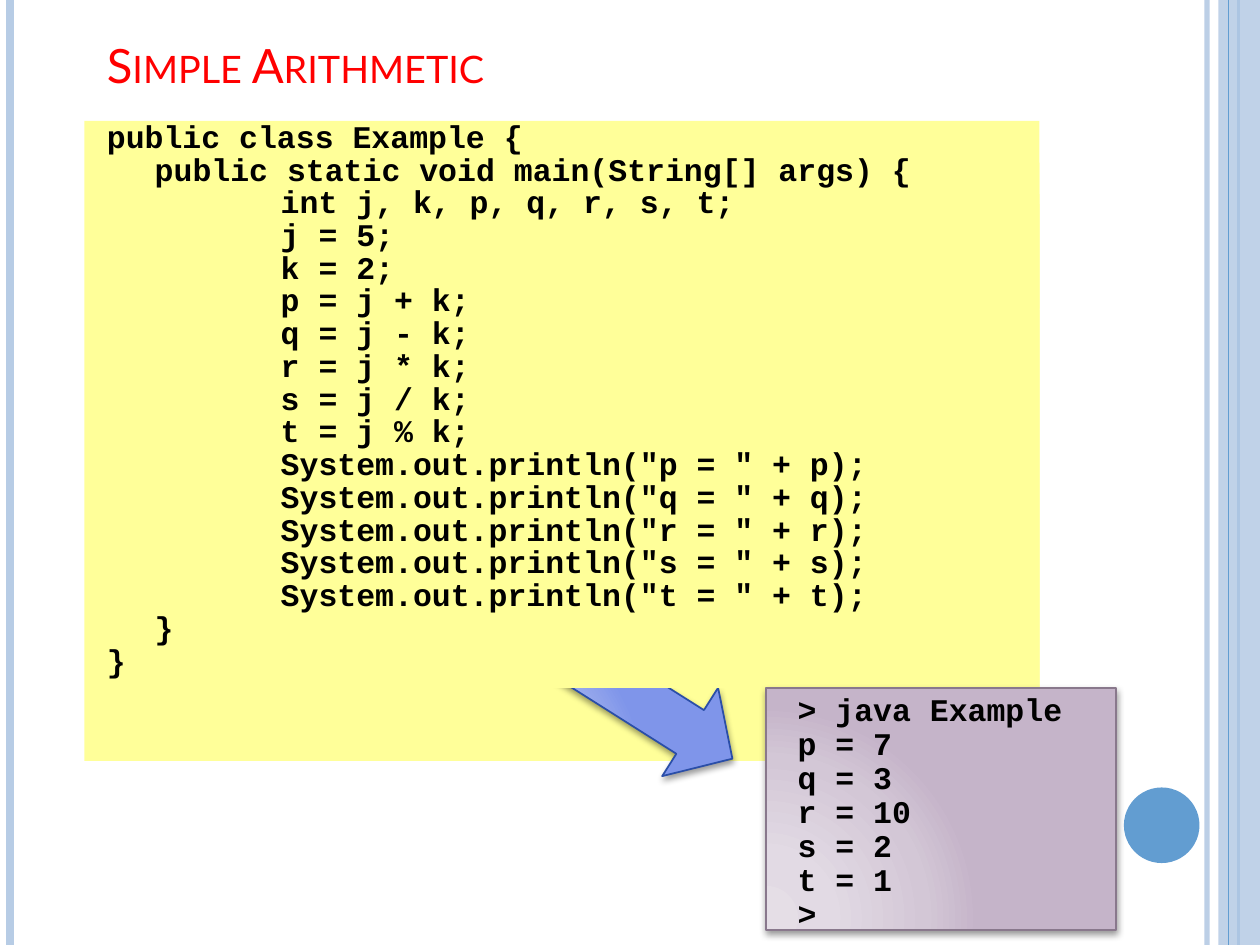
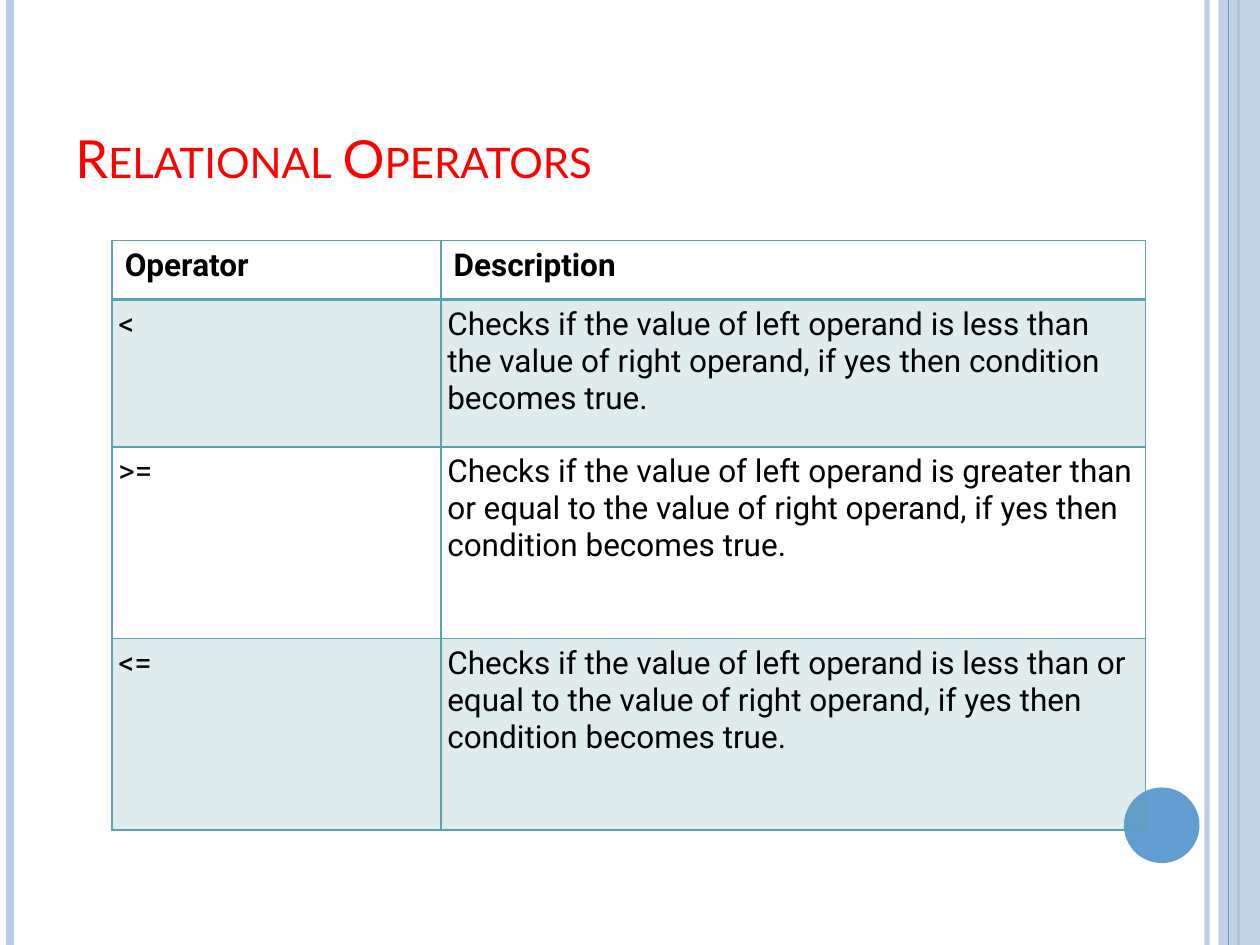
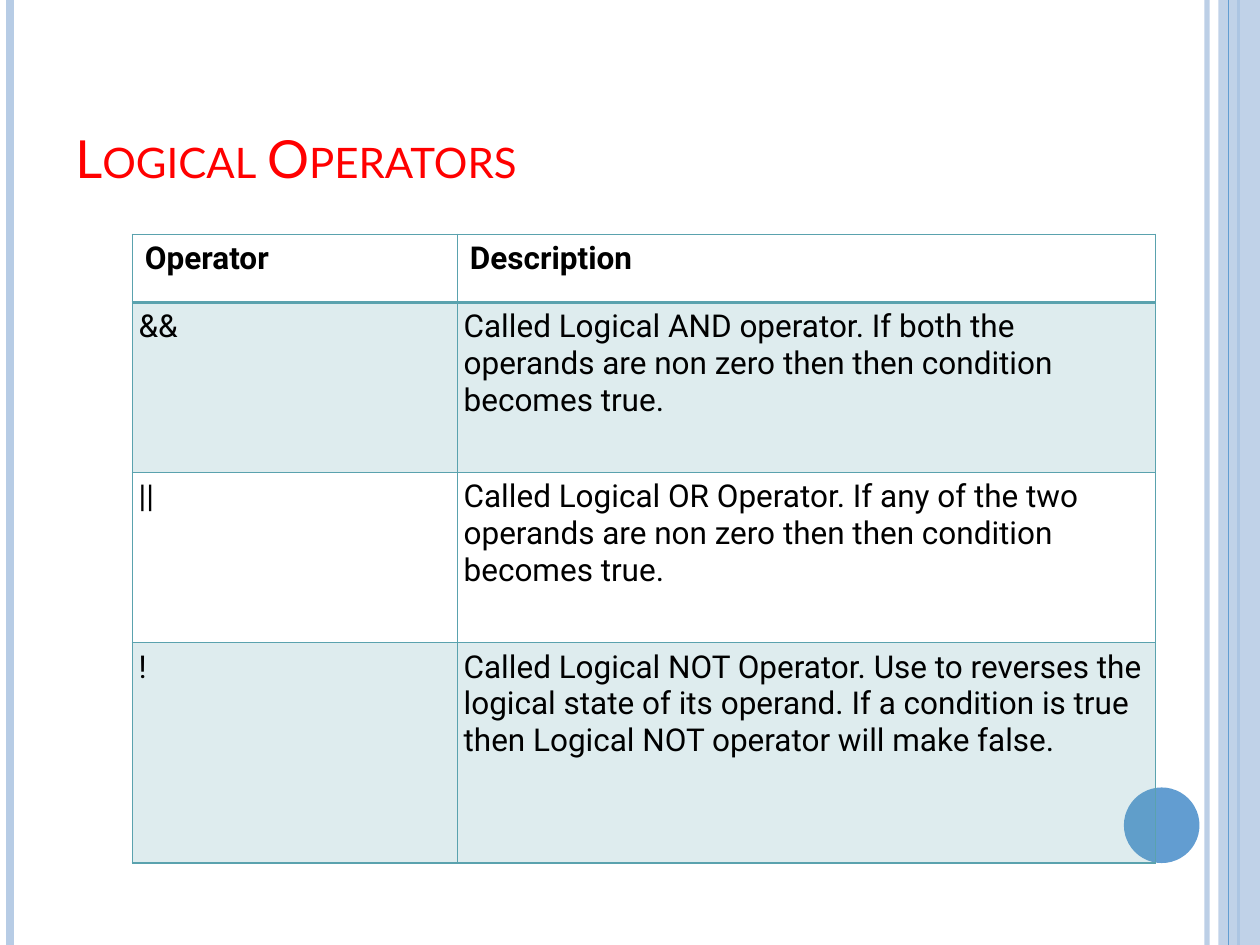
from lxml import etree
from pptx import Presentation, util as u
from pptx.dml.color import RGBColor
from pptx.enum import shapes, text
from pptx.oxml import parse_xml
from pptx.oxml.ns import nsdecls, qn

PALE, BLUE, TEAL, YELLOW = "B7CCE5", "629DD1", "5AA2AE", "FFFF99"
TITLE = {"name": "Lato", "color": "FF0000"}
CODE = {"name": "Courier New", "size": u.Pt(18), "bold": True, "color": "000000"}
CELL = {"name": "Roboto", "size": u.Pt(18), "color": "000000"}


def paint(fill, color, el=None, alpha=100):
    """Solid colour; el is the element that holds it when it is translucent."""
    fill.solid()
    fill.fore_color.rgb = RGBColor.from_string(color)
    if alpha < 100:
        clr = el.find(".//" + qn("a:srgbClr"))
        etree.SubElement(clr, qn("a:alpha")).set("val", str(alpha * 1000))


def write(tf, lines, font, **para):
    """One paragraph per line, with font and paragraph values from dicts."""
    for i, line in enumerate(lines):
        p = tf.paragraphs[0] if i == 0 else tf.add_paragraph()
        p.alignment = text.PP_ALIGN.LEFT
        for key, value in para.items():
            setattr(p, key, value)
        r = p.add_run()
        r.text = line
        for key, value in font.items():
            if key == "color":
                paint(r.font.fill, value)
            else:
                setattr(r.font, key, value)


prs = Presentation()
prs.slide_width, prs.slide_height = u.Inches(10), u.Inches(7.5)

# Side bands, circle and title of every slide, from back to front
RECT, OVAL = shapes.MSO_SHAPE.RECTANGLE, shapes.MSO_SHAPE.OVAL
decor = [
    ("rule", (9.58, 3), PALE, 93),
    ("rule", (0.08, 4.5), PALE, 100),
    ("rule", (9.83, 1.5), BLUE, 100),
    (RECT, (9.67, 0, 0.33, 7.5), PALE, 87),
    ("rule", (9.75, 0.75), BLUE, 100),
    (OVAL, (8.92, 6.25, 0.6, 0.6), BLUE, 100),
]
titles = [
    ("Simple Arithmetic", 27, (0.75, 0.21, 8.5, 0.58)),
    ("Relational Operators", 30, (0.5, 0.3, 8.17, 1.25)),
    ("Logical Operators", 30, (0.5, 0.3, 8.17, 1.25)),
]
slides = []
for title, size, box in titles:
    s = prs.slides.add_slide(prs.slide_layouts[6])
    slides.append(s)
    for kind, at, color, alpha in decor:
        if kind == "rule":
            x, width = u.Inches(at[0]), u.Pt(at[1])
            sp = s.shapes.add_connector(shapes.MSO_CONNECTOR.STRAIGHT, x, 0, x, prs.slide_height)
            sp.line.width = width
            paint(sp.line.fill, color, sp._element, alpha)
            etree.SubElement(sp._element.spPr, qn("a:effectLst"))
        else:
            sp = s.shapes.add_shape(kind, *map(u.Inches, at))
            sp.shadow.inherit = False
            sp.line.fill.background()
            paint(sp.fill, color, sp._element, alpha)
    tf = s.shapes.add_textbox(*map(u.Inches, box)).text_frame
    tf.word_wrap = True
    tf.vertical_anchor = text.MSO_ANCHOR.BOTTOM
    write(tf, [title], {**TITLE, "size": u.Pt(size)})
    tf.paragraphs[0].runs[0].font._element.set("cap", "small")

# Slide 1: yellow panels, the last ones covering the tail of the arrow
s = slides[0]
panels = [
    (0.67, 0.96, 7.58, 5.08), (1.17, 1.29, 7.08, 4.5), (1.58, 1.54, 6.67, 3.92), (1.58, 1.62, 6.67, 0.25),
    (1.58, 1.87, 6.67, 0.58), (1.58, 2.46, 6.67, 1.5), (1.58, 3.96, 6.67, 1.5),
]
arrow = None
for i, at in enumerate(panels):
    if i == 2:
        arrow = s.shapes.add_shape(shapes.MSO_SHAPE.RIGHT_ARROW, *map(u.Inches, (3.58, 4.96, 2.42, 0.83)))
        arrow.rotation = 32.3
        arrow.adjustments[0], arrow.adjustments[1] = 0.494, 0.478
    sp = s.shapes.add_shape(RECT, *map(u.Inches, at))
    sp.shadow.inherit = False
    sp.line.fill.background()
    paint(sp.fill, YELLOW)

# Java listing: every line with its nesting level
body = ["int j, k, p, q, r, s, t;", "j = 5;", "k = 2;"]
body += [f"{v} = j {op} k;" for v, op in zip("pqrst", "+-*/%")]
body += [f'System.out.println("{v} = " + {v});' for v in "pqrst"]
code = [(0, "public class Example {"), (1, "public static void main(String[] args) {")]
code += [(2, line) for line in body] + [(1, "}"), (0, "}")]
indents = (0, 0.38, 1.38)
tf = s.shapes.add_textbox(*map(u.Inches, (0.75, 0.96, 7.67, 4.67))).text_frame
tf.word_wrap = True
write(tf, [line for level, line in code], CODE, line_spacing=0.7, space_before=u.Pt(3.6))
for p, (level, line) in zip(tf.paragraphs, code):
    p._p.get_or_add_pPr().set("marL", str(u.Inches(indents[level])))

# Program output
output = s.shapes.add_shape(RECT, *map(u.Inches, (6.08, 5.46, 2.78, 1.92)))
tf = output.text_frame
tf.word_wrap = True
tf.margin_left = u.Inches(0.25)
tf.vertical_anchor = text.MSO_ANCHOR.TOP
write(tf, ["> java Example", "p = 7", "q = 3", "r = 10", "s = 2", "t = 1", ">"], CODE, line_spacing=0.9)

# Radial gradient, outline and soft shadow of arrow and output
for sp, edge, colors in [
    (arrow, "2A4EA8", ("C9D1F3", "C4CDF2", "A3B2ED", "7F95EA")),
    (output, "89788C", ("E5DEE6", "E2DAE4", "D3C7D6", "C5B4C9")),
]:
    stops = "".join(
        f'<a:gs pos="{pos}000"><a:srgbClr val="{c}"/></a:gs>' for pos, c in zip((0, 30, 75, 100), colors))
    sp.fill.gradient()
    old = sp._element.spPr.find(qn("a:gradFill"))
    old.getparent().replace(old, parse_xml(
        f'<a:gradFill {nsdecls("a")} rotWithShape="1"><a:gsLst>{stops}</a:gsLst><a:path path="circle">'
        '<a:fillToRect l="5000" t="100000" r="120000" b="10000"/></a:path></a:gradFill>'))
    paint(sp.line.fill, edge)
    sp.line.width = u.Pt(1)
    sp.shadow.inherit = False
    sp._element.spPr.find(qn("a:effectLst")).append(parse_xml(
        f'<a:outerShdw {nsdecls("a")} blurRad="{u.Pt(4)}" dist="{u.Pt(2)}" dir="5400000" rotWithShape="0">'
        '<a:srgbClr val="000000"><a:alpha val="40000"/></a:srgbClr></a:outerShdw>'))

# Slides 2 and 3: operator tables
header = ("Operator", "Description")
check = "Checks if the value of left operand is {} the value of right operand, if yes then condition becomes true."
called = "Called Logical {} operands are non zero then then condition becomes true."
tables = [
    ((0.89, 1.91, 8.2, 4.68), (2.61, 5.59), (0.47, 1.17, 1.52, 1.52), [
        header,
        ("<", check.format("less than")),
        (">=", check.format("greater than or equal to")),
        ("<=", check.format("less than or equal to")),
    ]),
    ((1.05, 1.86, 8.12, 4.99), (2.58, 5.54), (0.54, 1.35, 1.35, 1.75), [
        header,
        ("&&", called.format("AND operator. If both the")),
        ("||", called.format("OR Operator. If any of the two")),
        ("!", "Called Logical NOT Operator. Use to reverses the logical state of its operand. "
              "If a condition is true then Logical NOT operator will make false."),
    ]),
]
for s, (at, widths, heights, rows) in zip(slides[1:], tables):
    tbl = s.shapes.add_table(len(rows), len(widths), *map(u.Inches, at)).table
    tbl.horz_banding = False
    for col, width in zip(tbl.columns, widths):
        col.width = u.Inches(width)
    for i, (row, height) in enumerate(zip(rows, heights)):
        tbl.rows[i].height = u.Inches(height)
        for j, words in enumerate(row):
            cell = tbl.cell(i, j)
            write(cell.text_frame, [words], {**CELL, "bold": i == 0})
            if i > 0:
                for side in ("left", "top", "right", "bottom"):
                    setattr(cell, f"margin_{side}", u.Inches(0.05))
            tcPr = cell._tc.get_or_add_tcPr()
            if i % 2:
                paint(cell.fill, TEAL, tcPr, 20)
            else:
                cell.fill.background()
            # Thin borders, with a thicker one under the header
            borders = {"lnL": 1, "lnR": 1, "lnT": 2 if i == 1 else 1, "lnB": 2 if i == 0 else 1}
            for k, (tag, width) in enumerate(borders.items()):
                tcPr.insert(k, parse_xml(
                    f'<a:{tag} {nsdecls("a")} w="{u.Pt(width)}"><a:solidFill><a:srgbClr val="{TEAL}"/>'
                    f'</a:solidFill></a:{tag}>'))

prs.save("out.pptx")
